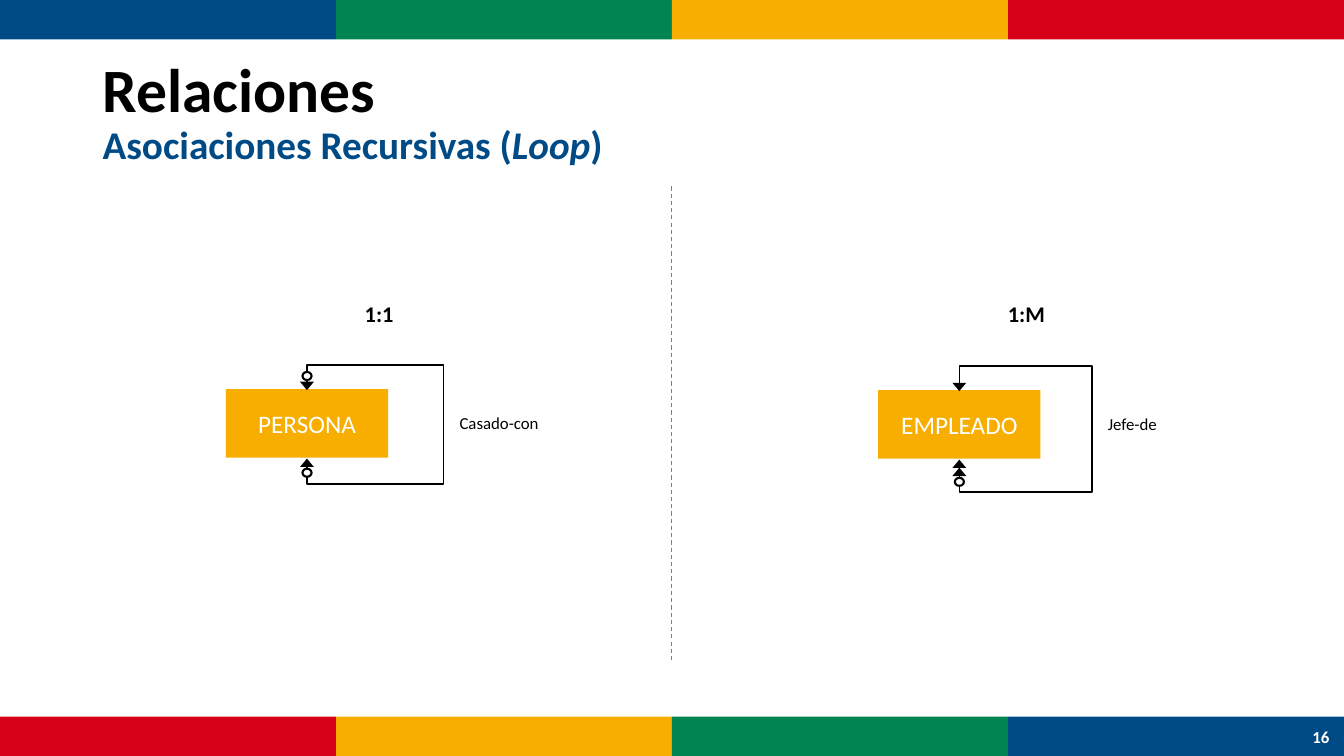
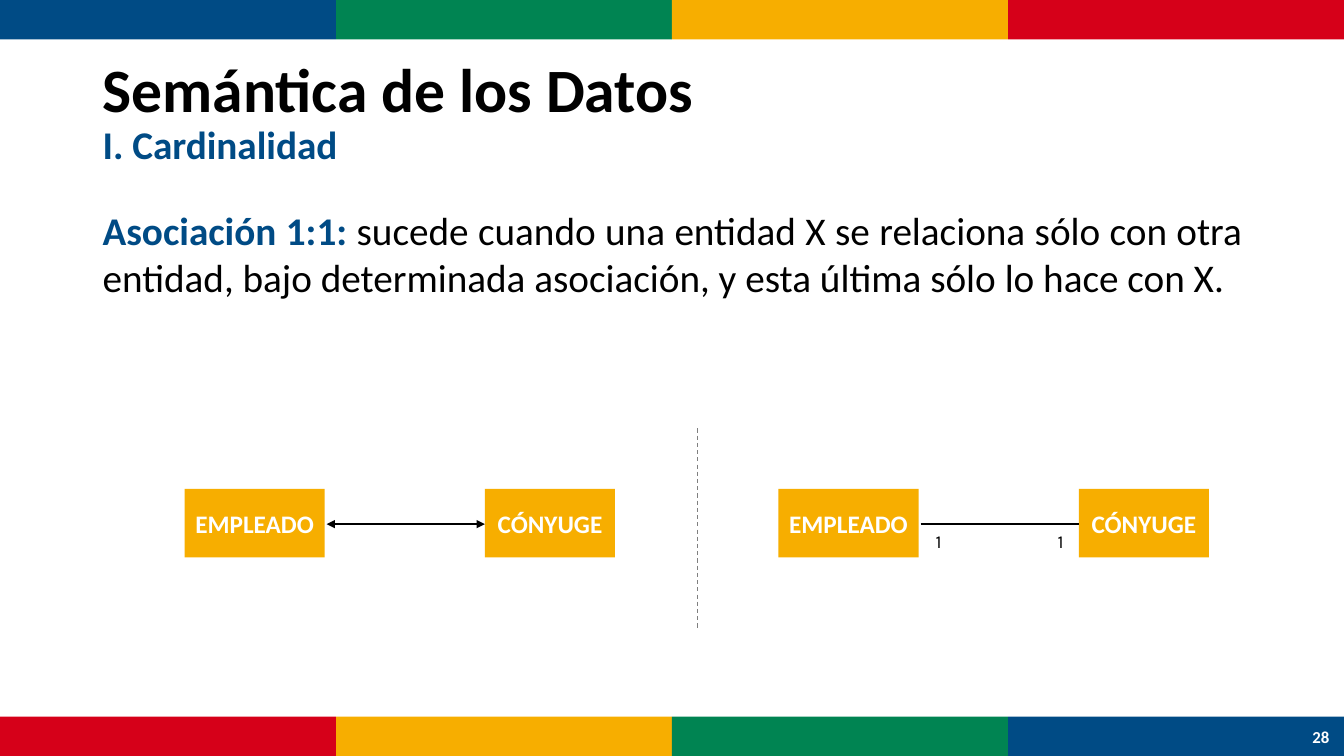
from lxml import etree
from pptx import Presentation
from pptx import util as u
from pptx.dml.color import RGBColor
from pptx.enum import dml, shapes, text
from pptx.oxml import ns

BLUE = RGBColor(0x00, 0x4B, 0x85)
GREEN = RGBColor(0x00, 0x84, 0x52)
YELLOW = RGBColor(0xF7, 0xAE, 0x00)
RED = RGBColor(0xD6, 0x00, 0x19)
BLACK = RGBColor(0x00, 0x00, 0x00)
WHITE = RGBColor(0xFF, 0xFF, 0xFF)
GRAY = RGBColor(0x7F, 0x7F, 0x7F)

FONT = "Calibri"
SLIDE_W, SLIDE_H = 13.33, 7.5
BAND_H = 0.39
MARGIN, CONTENT_W = 0.92, 11.5
ENTITY_H = 0.68
LEFT, CENTER = text.PP_ALIGN.LEFT, text.PP_ALIGN.CENTER
TOP, MIDDLE = text.MSO_ANCHOR.TOP, text.MSO_ANCHOR.MIDDLE


def inches(*values):
    return [u.Inches(value) for value in values]


def style(run, size, color, bold=False, italic=False, font=FONT):
    run.font.name = font
    run.font.size = u.Pt(size)
    run.font.color.rgb = color
    run.font.bold = bold
    run.font.italic = italic


def add_piece(paragraph, words, *look, **more):
    run = paragraph.add_run()
    run.text = words
    style(run, *look, **more)


def text_box(slide, box, anchor=TOP, wrap=True):
    frame = slide.shapes.add_textbox(*inches(*box)).text_frame
    frame.word_wrap = wrap
    frame.vertical_anchor = anchor
    return frame


def label(slide, box, words, size, color=BLACK, bold=False, align=CENTER,
          anchor=TOP, wrap=True, font=FONT, inset=None):
    frame = text_box(slide, box, anchor, wrap)
    if inset is not None:
        frame.margin_left = frame.margin_right = u.Inches(inset)
        frame.margin_top = frame.margin_bottom = u.Inches(inset)
    frame.text = words
    frame.paragraphs[0].alignment = align
    style(frame.paragraphs[0].runs[0], size, color, bold, font=font)


def solid(slide, kind, box, fill, outline=None):
    shape = slide.shapes.add_shape(kind, *inches(*box))
    shape.shadow.inherit = False
    shape.fill.solid()
    shape.fill.fore_color.rgb = fill
    if outline:
        shape.line.color.rgb = BLACK
        shape.line.width = u.Pt(outline)
    else:
        shape.line.fill.background()
    return shape


def arrowheads(line, ends, width="med"):
    properties = line.line._get_or_add_ln()
    for end in ends:
        etree.SubElement(properties, ns.qn(f"a:{end}"),
                         type="triangle", w=width, len="med")


def straight(slide, start, end, color=BLACK, width=1.25):
    line = slide.shapes.add_connector(
        shapes.MSO_CONNECTOR.STRAIGHT, *inches(*start, *end))
    line.line.color.rgb = color
    line.line.width = u.Pt(width)
    etree.SubElement(line._element.spPr, ns.qn("a:effectLst"))
    return line


def divider(slide, x, top, bottom):
    line = straight(slide, (x, top), (x, bottom), GRAY, 0.75)
    line.line.dash_style = dml.MSO_LINE.DASH


def entity(slide, x, y, width, name, bold=False):
    box = solid(slide, shapes.MSO_SHAPE.RECTANGLE,
                (x, y, width, ENTITY_H), YELLOW)
    frame = box.text_frame
    frame.word_wrap = True
    frame.vertical_anchor = MIDDLE
    frame.text = name
    frame.paragraphs[0].alignment = CENTER
    style(frame.paragraphs[0].runs[0], 18, WHITE, bold)


def bands(slide, y, colors):
    width = SLIDE_W / len(colors)
    for column, color in enumerate(colors):
        solid(slide, shapes.MSO_SHAPE.RECTANGLE,
              (column * width, y, width, BAND_H), color)


def base_slide(deck, title, subtitle, number):
    slide = deck.slides.add_slide(deck.slide_layouts[6])
    footer_y = SLIDE_H - BAND_H
    bands(slide, 0, (BLUE, GREEN, YELLOW, RED))
    bands(slide, footer_y, (RED, YELLOW, GREEN, BLUE))
    heading = text_box(slide, (MARGIN, 0.4, CONTENT_W, 1.45), MIDDLE)
    paragraph = heading.paragraphs[0]
    paragraph.line_spacing = 0.9
    add_piece(paragraph, title, 44, BLACK, True)
    paragraph.add_line_break()
    for words, italic in subtitle:
        add_piece(paragraph, words, 28, BLUE, True, italic)
    label(slide, (12.87, footer_y, 0.46, BAND_H), number, 12, WHITE, True,
          anchor=MIDDLE)
    return slide


def recursive_loop(slide, x, y, name, role, reach, drop, rings, many=False):
    width = 1.61
    middle, bottom = x + width / 2, y + ENTITY_H
    right = x + width + reach
    entity(slide, x, y, width, name)

    route = [inches(*point) for point in (
        (middle, bottom + 0.01), (middle, bottom + drop),
        (right, bottom + drop), (right, y - 0.24),
        (middle, y - 0.24), (middle, y + 0.01))]
    builder = slide.shapes.build_freeform(*route[0])
    builder.add_line_segments(route[1:], close=False)
    loop = builder.convert_to_shape()
    loop.shadow.inherit = False
    loop.fill.background()
    loop.line.color.rgb = BLACK
    loop.line.width = u.Pt(1)
    arrowheads(loop, ("headEnd", "tailEnd"), "lg")

    if many:
        second = straight(slide, (middle, bottom + drop),
                          (middle, bottom + 0.09), width=0.5)
        arrowheads(second, ("tailEnd",), "lg")
    for offset in rings:
        solid(slide, shapes.MSO_SHAPE.OVAL,
              (middle - 0.045, y + offset - 0.04, 0.09, 0.08), WHITE, 1.5)
    label(slide, (right + 0.06, y + 0.19, 1, 0.3), role, 12,
          align=LEFT, wrap=False)


def entity_pair(slide, x, y, cardinality=None):
    line_start, line_end = x + 1.41, x + 2.98
    entity(slide, x, y, 1.39, "EMPLEADO", True)
    entity(slide, line_end, y, 1.29, "CÓNYUGE", True)
    line = straight(slide, (line_start, y + 0.35), (line_end, y + 0.35))
    if cardinality is None:
        arrowheads(line, ("headEnd", "tailEnd"))
    else:
        for left in (line_start + 0.08, line_end - 0.28):
            label(slide, (left, y + 0.41, 0.2, 0.22), cardinality, 13,
                  anchor=MIDDLE, font="Karla", inset=0)


def recursive_slide(deck):
    slide = base_slide(
        deck, "Relaciones",
        (("Asociaciones Recursivas (", False), ("Loop", True), (")", False)),
        "16")
    divider(slide, 6.66, 1.85, 6.56)
    for left, ratio in ((MARGIN, "1:1"), (7.34, "1:M")):
        label(slide, (left, 2.93, 5.68, 0.37), ratio, 16, bold=True)
    recursive_loop(slide, 2.24, 3.86, "PERSONA", "Casado-con",
                   0.55, 0.26, (-0.13, 0.83))
    recursive_loop(slide, 8.71, 3.87, "EMPLEADO", "Jefe-de",
                   0.51, 0.33, (0.91,), many=True)


def cardinality_slide(deck):
    slide = base_slide(deck, "Semántica de los Datos",
                       (("I. Cardinalidad", False),), "28")
    definition = text_box(slide, (MARGIN, 2, CONTENT_W, 1.2)).paragraphs[0]
    definition.alignment = text.PP_ALIGN.JUSTIFY
    add_piece(definition, "Asociación 1:1: ", 28, BLUE, True)
    add_piece(definition,
              "sucede cuando una entidad X se relaciona sólo con otra "
              "entidad, bajo determinada asociación, y esta última sólo "
              "lo hace con X.", 28, BLACK)
    entity_pair(slide, 1.83, 4.85)
    divider(slide, 6.92, 4.25, 6.24)
    entity_pair(slide, 7.72, 4.85, "1")


def main():
    deck = Presentation()
    deck.slide_width, deck.slide_height = inches(SLIDE_W, SLIDE_H)
    recursive_slide(deck)
    cardinality_slide(deck)
    deck.save("out.pptx")


if __name__ == "__main__":
    main()
